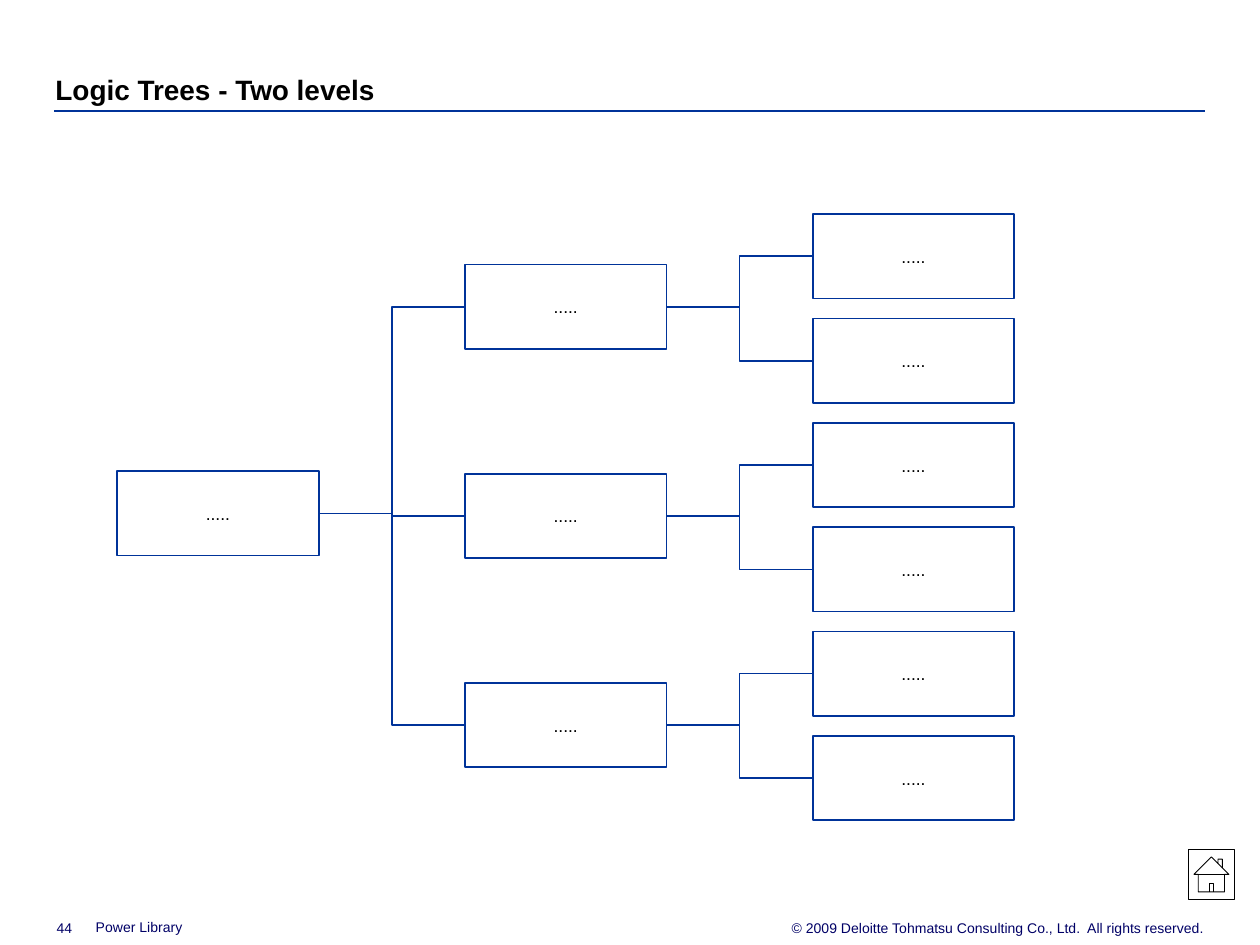
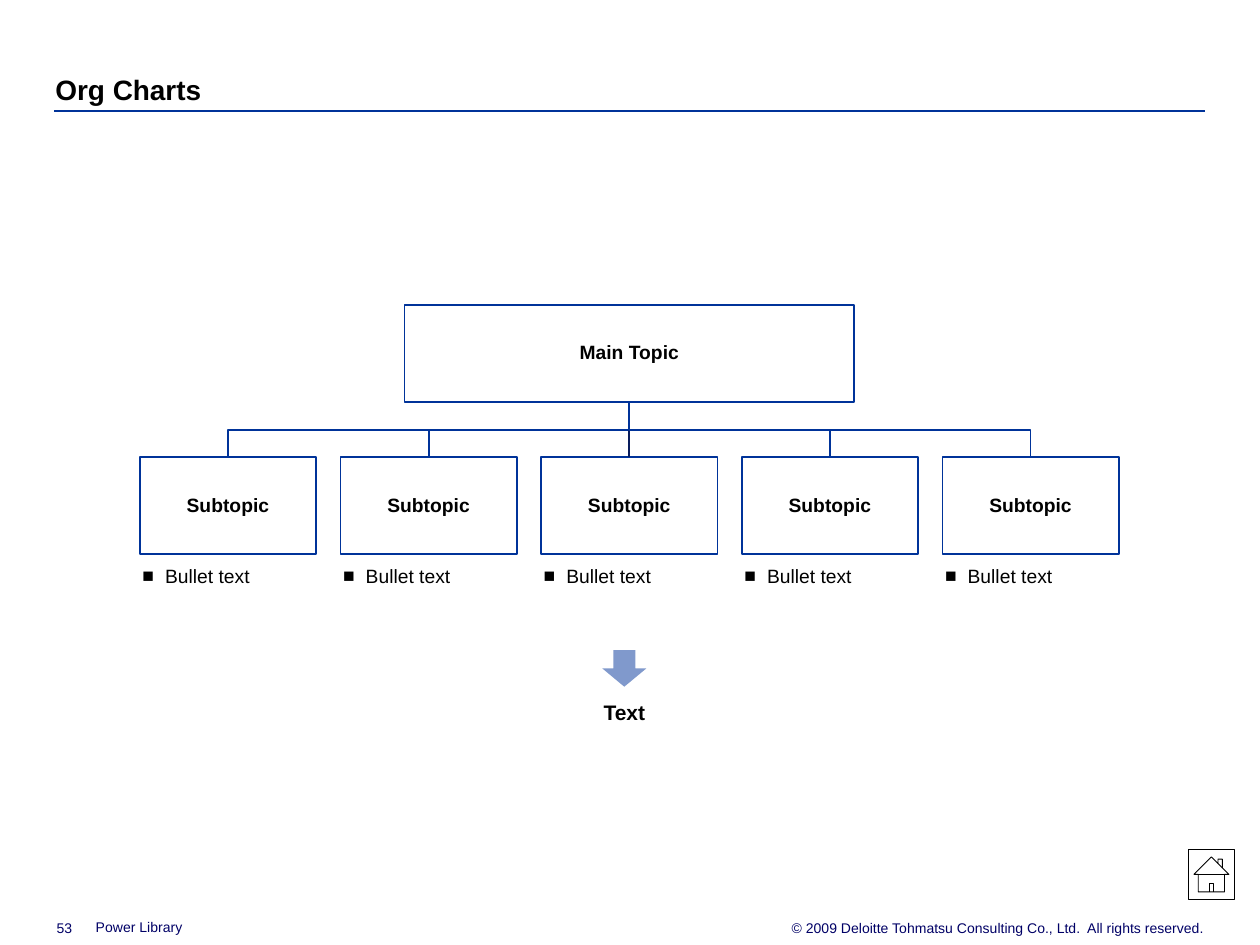
from lxml.etree import SubElement
from pptx import Presentation
from pptx.dml.color import RGBColor
from pptx.enum.shapes import MSO_CONNECTOR as Link, MSO_SHAPE as Shape
from pptx.enum.text import MSO_ANCHOR as Anchor, MSO_AUTO_SIZE as AutoSize, PP_ALIGN as Align
from pptx.oxml.ns import qn
from pptx.util import Inches, Pt

FONT = "Arial"
BLUE = RGBColor(0x00, 0x33, 0x99)
DEEP_BLUE = RGBColor(0x09, 0x1D, 0x5D)
ARROW_BLUE = RGBColor(0x80, 0x99, 0xCC)
NAVY = RGBColor(0x00, 0x00, 0x66)
BLACK = RGBColor(0x00, 0x00, 0x00)
WHITE = RGBColor(0xFF, 0xFF, 0xFF)

LIBRARY = "Power Library"
COPYRIGHT = "© 2009 Deloitte Tohmatsu Consulting Co., Ltd.  All rights reserved."

TREE = {"title": "Logic Trees - Two levels", "number": "44", "root": ".....",
        "branches": [(".....", [".....", "....."])] * 3}
ORG = {"title": "Org Charts", "number": "53", "main": "Main Topic",
       "subtopics": [("Subtopic", "Bullet text")] * 5, "conclusion": "Text"}

NODE_WIDTH, NODE_HEIGHT = 1.6, 0.67
ROOT_LEFT, BRANCH_LEFT, LEAF_LEFT = 0.93, 3.69, 6.45
ROOT_TOP = 3.74
BRANCH_TOPS = (2.1, 5.42)
LEAF_TOPS = (1.7, 5.84)

MAIN_LEFT, MAIN_TOP, MAIN_WIDTH = 3.21, 2.42, 3.57
TOPIC_TOP, TOPIC_WIDTH, TOPIC_HEIGHT = 3.63, 1.4, 0.77
TOPIC_LEFTS = (1.11, 7.48)
BULLET_TOP = 4.47


def spread(ends, count):
    """Return count evenly spaced positions from the first end to the last."""
    first, last = ends
    return [first + (last - first) * index / (count - 1) for index in range(count)]


def fill_text(shape, text, size, color=BLACK, bold=False, align=Align.LEFT,
              anchor=Anchor.TOP, insets=(0, 0), spacing=1.0):
    """Write one formatted paragraph into a shape and return it."""
    frame = shape.text_frame
    frame.word_wrap = True
    frame.auto_size = AutoSize.NONE
    frame.vertical_anchor = anchor
    frame.margin_left = frame.margin_right = Inches(insets[0])
    frame.margin_top = frame.margin_bottom = Inches(insets[1])
    para = frame.paragraphs[0]
    para.alignment = align
    para.line_spacing = spacing
    span = para.add_run()
    span.text = text
    span.font.name = FONT
    span.font.size = Pt(size)
    span.font.bold = bold
    span.font.color.rgb = color
    return para


def add_text(page, area, text, size, **style):
    """Add a text box with one paragraph and return the paragraph."""
    return fill_text(page.shapes.add_textbox(*map(Inches, area)), text, size, **style)


def add_node(page, area, text, size, **style):
    """Add a white box with a blue outline and centred text."""
    box = page.shapes.add_shape(Shape.RECTANGLE, *map(Inches, area))
    box.shadow.inherit = False
    box.fill.solid()
    box.fill.fore_color.rgb = WHITE
    box.line.color.rgb = BLUE
    box.line.width = Pt(1)
    fill_text(box, text, size, align=Align.CENTER, anchor=Anchor.MIDDLE, **style)
    return box


def add_link(page, kind, ends, color=BLUE, width=1):
    """Add a flat connector between two points."""
    link = page.shapes.add_connector(kind, *map(Inches, ends))
    link.line.color.rgb = color
    link.line.width = Pt(width)
    SubElement(link._element.spPr, qn("a:effectLst"))
    return link


def join_sideways(page, parent, child):
    """Glue an elbow from the right side of parent to the left side of child."""
    link = add_link(page, Link.ELBOW, (0, 0, 1, 1))
    link.begin_connect(parent, 3)
    link.end_connect(child, 1)


def join_downwards(page, start, end):
    """Draw an elbow that leaves start downwards and enters end from above."""
    (x1, y1), (x2, y2) = start, end
    middle_x, middle_y = (x1 + x2) / 2, (y1 + y2) / 2
    half_drop, half_reach = (y2 - y1) / 2, abs(x2 - x1) / 2
    angle = 90
    if x2 > x1:
        angle, half_drop = 270, -half_drop
    link = add_link(page, Link.ELBOW, (middle_x - half_drop, middle_y - half_reach,
                                       middle_x + half_drop, middle_y + half_reach))
    link._element.spPr.find(qn("a:xfrm")).set("rot", str(angle * 60000))


def add_bullet(para):
    """Give a paragraph a hanging square bullet."""
    props = para._p.get_or_add_pPr()
    props.set("marL", str(Inches(0.19)))
    props.set("indent", str(Inches(-0.18)))
    color = SubElement(props, qn("a:buClr"))
    SubElement(color, qn("a:srgbClr")).set("val", str(BLACK))
    SubElement(props, qn("a:buFont")).set("typeface", FONT)
    SubElement(props, qn("a:buChar")).set("char", "■")


def add_page(deck, content):
    """Add a page with the shared title, rule, home button and footer."""
    page = deck.slides.add_slide(deck.slide_layouts[5])
    title = page.shapes.title
    title.left, title.top, title.width, title.height = map(Inches, (0.44, 0.56, 9.13, 0.28))
    fill_text(title, content["title"], 16, bold=True, anchor=Anchor.BOTTOM, spacing=1.06)
    add_link(page, Link.STRAIGHT, (0.43, 0.88, 9.56, 0.88), width=1.5)
    home = page.shapes.add_shape(Shape.ACTION_BUTTON_HOME,
                                 *map(Inches, (9.43, 6.74, 0.37, 0.4)))
    home.shadow.inherit = False
    home.fill.background()
    home.line.color.rgb = BLACK
    home.line.width = Pt(0.5)
    add_text(page, (5.76, 7.3, 3.8, 0.13), COPYRIGHT, 8, color=NAVY, align=Align.RIGHT)
    add_text(page, (0.76, 7.29, 4.42, 0.13), LIBRARY, 8, color=NAVY, anchor=Anchor.BOTTOM)
    add_text(page, (0.45, 7.3, 0.32, 0.13), content["number"], 8, color=NAVY,
             anchor=Anchor.BOTTOM)
    return page


def build_tree(deck):
    """Build the two-level logic tree."""
    page = add_page(deck, TREE)
    branches = TREE["branches"]

    def tree_node(left, top, text):
        return add_node(page, (left, top, NODE_WIDTH, NODE_HEIGHT), text, 10,
                        insets=(0.1, 0.1))

    root = tree_node(ROOT_LEFT, ROOT_TOP, TREE["root"])
    leaf_tops = iter(spread(LEAF_TOPS, sum(len(leaves) for _, leaves in branches)))
    for top, (text, leaves) in zip(spread(BRANCH_TOPS, len(branches)), branches):
        branch = tree_node(BRANCH_LEFT, top, text)
        join_sideways(page, root, branch)
        for leaf_text in leaves:
            leaf = tree_node(LEAF_LEFT, next(leaf_tops), leaf_text)
            join_sideways(page, branch, leaf)


def build_org_chart(deck):
    """Build the organisation chart with bullets and a conclusion."""
    page = add_page(deck, ORG)
    style = {"bold": True, "insets": (0.1, 0.05), "spacing": 0.95}
    subtopics = ORG["subtopics"]
    add_node(page, (MAIN_LEFT, MAIN_TOP, MAIN_WIDTH, TOPIC_HEIGHT), ORG["main"], 11, **style)
    start = (MAIN_LEFT + MAIN_WIDTH / 2, MAIN_TOP + TOPIC_HEIGHT)
    for left, (topic, bullet) in zip(spread(TOPIC_LEFTS, len(subtopics)), subtopics):
        add_node(page, (left, TOPIC_TOP, TOPIC_WIDTH, TOPIC_HEIGHT), topic, 11, **style)
        end = (left + TOPIC_WIDTH / 2, TOPIC_TOP)
        if abs(end[0] - start[0]) < 0.05:
            add_link(page, Link.STRAIGHT, (*start, start[0], TOPIC_TOP), color=DEEP_BLUE)
        else:
            join_downwards(page, start, end)
        add_bullet(add_text(page, (left + 0.01, BULLET_TOP, TOPIC_WIDTH, 0.32), bullet, 11,
                            spacing=1.06))
    arrow = page.shapes.add_shape(Shape.DOWN_ARROW, *map(Inches, (4.78, 5.16, 0.35, 0.29)))
    arrow.shadow.inherit = False
    arrow.fill.solid()
    arrow.fill.fore_color.rgb = ARROW_BLUE
    arrow.line.fill.background()
    add_text(page, (1.09, 5.52, 7.73, 0.32), ORG["conclusion"], 12, bold=True,
             align=Align.CENTER, insets=(0.05, 0.05), spacing=0.95)


def main():
    """Build and save the deck."""
    deck = Presentation()
    deck.slide_width, deck.slide_height = Inches(10), Inches(7.5)
    build_tree(deck)
    build_org_chart(deck)
    deck.save("out.pptx")


if __name__ == "__main__":
    main()
